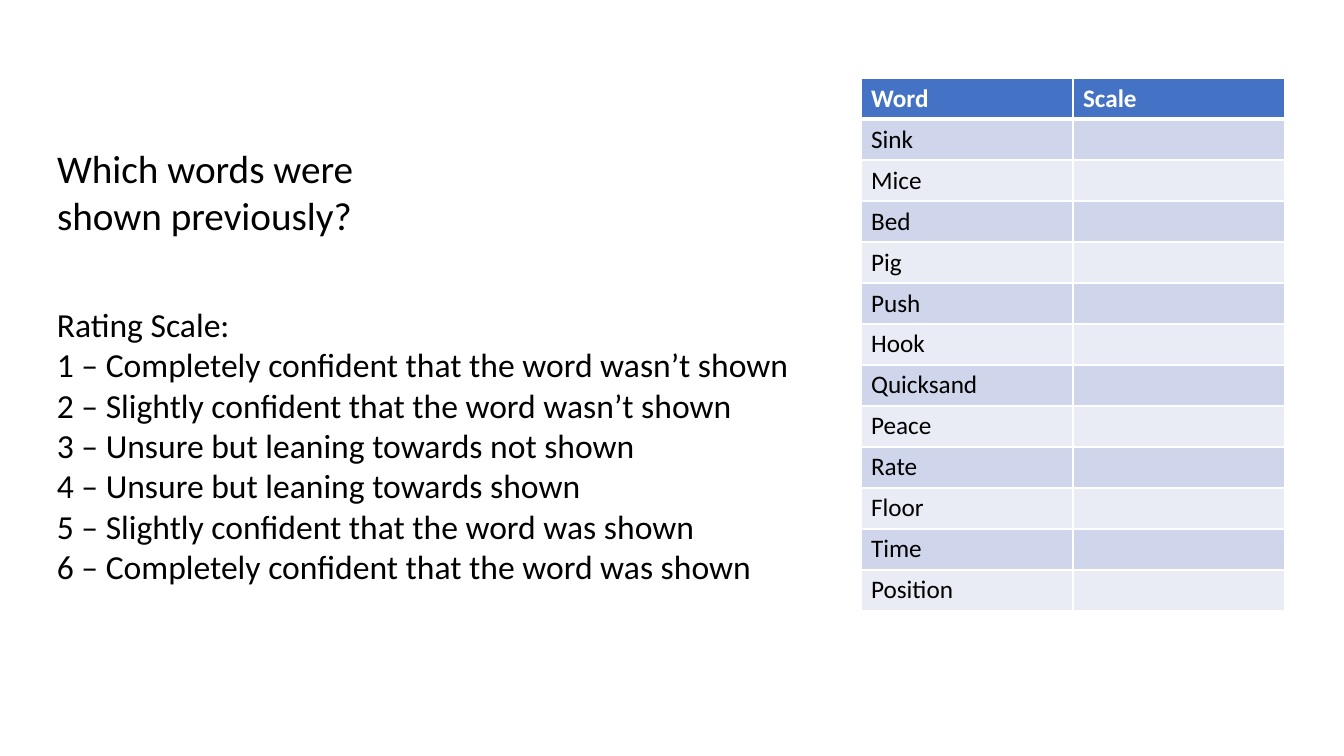
"""Build the word recognition slide with its rating scale."""
from dataclasses import dataclass

from lxml import etree
from pptx import Presentation
from pptx.dml.color import RGBColor
from pptx.enum.text import MSO_ANCHOR, MSO_AUTO_SIZE, PP_ALIGN
from pptx.oxml.ns import qn
from pptx.util import Emu, Pt

TOP = MSO_ANCHOR.TOP
LEFT = PP_ALIGN.LEFT
NO_FIT = MSO_AUTO_SIZE.NONE
SCALE = 914400 / 100.8
FONT = "Calibri"
BLACK, WHITE, BLUE = "000000", "FFFFFF", "4472C4"
BANDS = ("CFD5EA", "E9EBF5")
TITLE_ONLY = 5
ROW_HEIGHT = 41
COLUMN_WIDTH = 212

QUESTION = ["Which words were ", "shown previously?"]
RATINGS = [
    "Completely confident that the word wasn’t shown ",
    "Slightly confident that the word wasn’t shown ",
    "Unsure but leaning towards not shown ",
    "Unsure but leaning towards shown ",
    "Slightly confident that the word was shown ",
    "Completely confident that the word was shown ",
]
HEADINGS = ["Word", "Scale"]
WORDS = ["Sink", "Mice", "Bed", "Pig", "Push", "Hook", "Quicksand",
         "Peace", "Rate", "Floor", "Time", "Position"]


@dataclass
class Area:
    """A rectangle in pixels."""
    left: int
    top: int
    width: int
    height: int

    def emu(self) -> list[Emu]:
        """Return left, top, width and height in EMU."""
        return [px(n) for n in (self.left, self.top, self.width, self.height)]


@dataclass
class TextBlock:
    """Lines of text of one size in an area."""
    area: Area
    lines: list[str]
    size: int
    wrap: bool


def px(pixels: int) -> Emu:
    """Turn pixels into EMU."""
    return Emu(round(pixels * SCALE))


def rgb(value: str) -> RGBColor:
    """Turn a hex string into a colour."""
    return RGBColor.from_string(value)


def add_span(para, text: str, size: int, color: str, bold: bool = False) -> None:
    """Add one formatted run to a paragraph."""
    span = para.add_run()
    span.text = text
    span.font.name = FONT
    span.font.size = Pt(size)
    span.font.bold = bold
    span.font.color.rgb = rgb(color)


def fill_text(box, block: TextBlock) -> None:
    """Place a text shape and write its lines."""
    box.left, box.top, box.width, box.height = block.area.emu()
    frame = box.text_frame
    frame.word_wrap = block.wrap
    frame.auto_size = NO_FIT
    frame.vertical_anchor = TOP
    for index, line in enumerate(block.lines):
        para = frame.add_paragraph() if index else frame.paragraphs[0]
        para.alignment = LEFT
        add_span(para, line, block.size, BLACK)


def set_borders(cell, bottom: int) -> None:
    """Draw white cell borders with a given bottom width in points."""
    properties = cell._tc.get_or_add_tcPr()
    widths = {"a:lnL": 1, "a:lnR": 1, "a:lnT": 1, "a:lnB": bottom}
    for index, (tag, width) in enumerate(widths.items()):
        line = etree.Element(qn(tag), w=str(Pt(width)))
        solid = etree.SubElement(line, qn("a:solidFill"))
        etree.SubElement(solid, qn("a:srgbClr"), val=WHITE)
        properties.insert(index, line)


def add_word_table(slide, area: Area) -> None:
    """Add the table of words with an empty scale column."""
    rows = [HEADINGS] + [[word, ""] for word in WORDS]
    table = slide.shapes.add_table(len(rows), len(HEADINGS), *area.emu()).table
    for column in table.columns:
        column.width = px(COLUMN_WIDTH)
    for row_index, texts in enumerate(rows):
        header = row_index == 0
        table.rows[row_index].height = px(ROW_HEIGHT)
        for column_index, text in enumerate(texts):
            cell = table.cell(row_index, column_index)
            cell.fill.solid()
            cell.fill.fore_color.rgb = rgb(BLUE if header else BANDS[(row_index - 1) % 2])
            set_borders(cell, 3 if header else 1)
            if text:
                para = cell.text_frame.paragraphs[0]
                add_span(para, text, 18, WHITE if header else BLACK, header)


def main() -> None:
    """Build and save the deck."""
    deck = Presentation()
    deck.slide_width, deck.slide_height = px(1344), px(756)
    page = deck.slides.add_slide(deck.slide_layouts[TITLE_ONLY])
    add_word_table(page, Area(861, 78, COLUMN_WIDTH * len(HEADINGS),
                              ROW_HEIGHT * (len(WORDS) + 1)))
    fill_text(page.shapes.title, TextBlock(Area(47, 139, 435, 105), QUESTION, 28, True))
    scale_lines = ["Rating Scale: "]
    scale_lines += [f"{number} – {text}" for number, text in enumerate(RATINGS, 1)]
    scale = TextBlock(Area(47, 299, 766, 295), scale_lines, 24, False)
    fill_text(page.shapes.add_textbox(*scale.area.emu()), scale)
    deck.save("out.pptx")


main()
